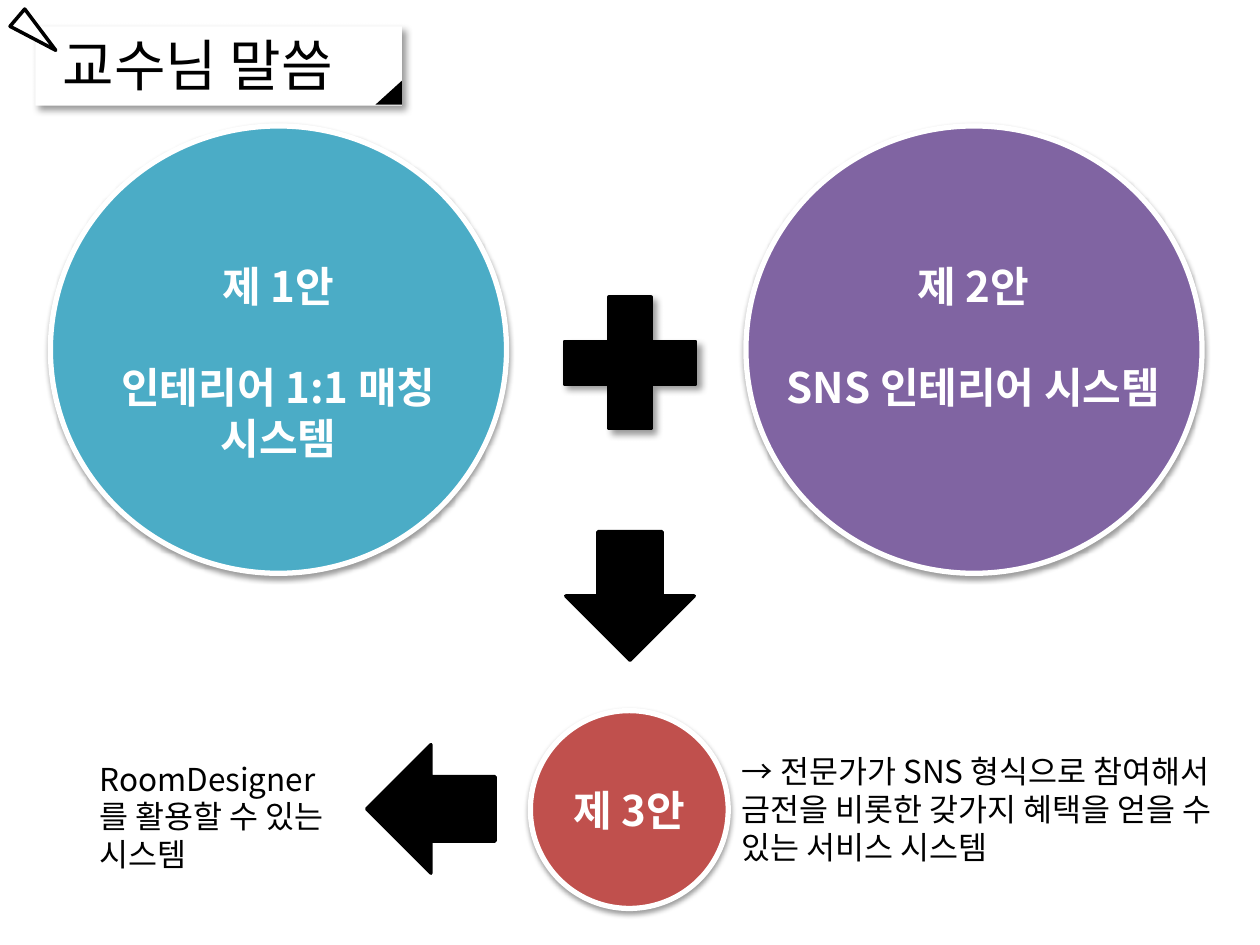
from dataclasses import dataclass
from typing import Optional

from lxml.etree import SubElement
from pptx import Presentation
from pptx.dml.color import RGBColor
from pptx.enum.shapes import MSO_SHAPE as Shape
from pptx.enum.text import MSO_ANCHOR as Anchor, PP_ALIGN as Align
from pptx.oxml.ns import qn
from pptx.util import Inches, Pt

FONT = "Noto Sans CJK KR"
BLACK = RGBColor(0x00, 0x00, 0x00)
WHITE = RGBColor(0xFF, 0xFF, 0xFF)
TEAL = RGBColor(0x4B, 0xAC, 0xC6)
PURPLE = RGBColor(0x80, 0x64, 0xA2)
RED = RGBColor(0xC0, 0x50, 0x4D)


@dataclass(frozen=True)
class Shadow:
    opacity: int
    blur: float
    distance: float
    angle: int


@dataclass(frozen=True)
class Figure:
    kind: Shape
    box: tuple[float, float, float, float]
    fill: RGBColor
    line: Optional[RGBColor] = None
    line_width: float = 2
    rotation: float = 0
    adjustment: Optional[float] = None
    shadow: Optional[Shadow] = None
    text: str = ""


@dataclass(frozen=True)
class Label:
    box: tuple[float, float, float, float]
    lines: tuple[str, ...]
    size: float = 18
    color: RGBColor = BLACK
    bold: bool = False
    align: Align = Align.LEFT
    heading_gap: float = 0


CARD_SHADOW = Shadow(40, 4, 3, 45)
CIRCLE_SHADOW = Shadow(38, 3.1, 1.6, 90)


def circle(box: tuple[float, float, float, float], fill: RGBColor, text: str = "") -> Figure:
    """Describe a white-rimmed circle."""
    return Figure(Shape.OVAL, box, fill, WHITE, 3, shadow=CIRCLE_SHADOW, text=text)


def proposal(box: tuple[float, float, float, float], *lines: str) -> Label:
    """Describe the centred caption of a proposal."""
    return Label(box, lines, 24, WHITE, True, Align.CENTER, 29)


FIGURES_BEHIND = (
    Figure(Shape.RECTANGLE, (0.28, 0.21, 2.91, 0.63), WHITE, shadow=CARD_SHADOW),
    Figure(Shape.ISOSCELES_TRIANGLE, (0.2, 0.07, 0.18, 0.4), WHITE, BLACK, rotation=130.4),
    Figure(Shape.ISOSCELES_TRIANGLE, (2.98, 0.64, 0.21, 0.19), BLACK, adjustment=1),
    circle((0.4, 1, 3.62, 3.55), TEAL),
    circle((5.92, 1, 3.62, 3.55), PURPLE),
    Figure(Shape.MATH_PLUS, (4.29, 2.17, 1.42, 1.42), BLACK, BLACK, shadow=CARD_SHADOW),
    Figure(Shape.DOWN_ARROW, (4.49, 4.22, 1.02, 1.02), BLACK, BLACK),
    circle((4.21, 5.64, 1.57, 1.57), RED, "제 3안"),
    Figure(Shape.DOWN_ARROW, (2.91, 5.91, 1.02, 1.02), BLACK, BLACK, rotation=90),
)
LABELS = (
    Label((0.4, 0.19, 2.66, 0.64), ("교수님 말씀",), 32),
    proposal((0.36, 2.02, 3.7, 1.72), "제 1안", "인테리어 1:1 매칭", "시스템"),
    proposal((6.09, 2.02, 3.27, 1.31), "제 2안", "SNS 인테리어 시스템"),
    Label((5.79, 5.92, 4.38, 1.01),
          ("→ 전문가가 SNS 형식으로 참여해서 금전을 비롯한 갖가지 혜택을 얻을 수 있는 서비스 시스템",)),
    Label((0.69, 5.98, 2.09, 1.01), ("RoomDesigner를 활용할 수 있는 시스템",)),
)


def format_paragraph(paragraph, size: float, color: RGBColor, bold: bool, align: Align) -> None:
    """Set the alignment and the font of every run."""
    paragraph.alignment = align
    for run in paragraph.runs:
        run.font.size = Pt(size)
        run.font.bold = bold
        run.font.color.rgb = color
        run.font.name = FONT
        SubElement(run.font._element, qn("a:ea"), typeface=FONT)


def add_shadow(shape, shadow: Shadow) -> None:
    """Give a shape a black outer shadow."""
    effects = shape._element.spPr.find(qn("a:effectLst"))
    outer = SubElement(effects, qn("a:outerShdw"), blurRad=str(Pt(shadow.blur)),
                       dist=str(Pt(shadow.distance)), dir=str(shadow.angle * 60000),
                       rotWithShape="0")
    color = SubElement(outer, qn("a:srgbClr"), val=str(BLACK))
    SubElement(color, qn("a:alpha"), val=str(shadow.opacity * 1000))


def draw_figure(slide, figure: Figure) -> None:
    """Draw a filled preset shape."""
    shape = slide.shapes.add_shape(figure.kind, *map(Inches, figure.box))
    shape.rotation = figure.rotation
    if figure.adjustment is not None:
        shape.adjustments[0] = figure.adjustment
    shape.fill.solid()
    shape.fill.fore_color.rgb = figure.fill
    if figure.line is None:
        shape.line.fill.background()
    else:
        shape.line.color.rgb = figure.line
        shape.line.width = Pt(figure.line_width)
    shape.shadow.inherit = False
    if figure.shadow:
        add_shadow(shape, figure.shadow)
    if figure.text:
        shape.text_frame.text = figure.text
        shape.text_frame.word_wrap = True
        shape.text_frame.vertical_anchor = Anchor.MIDDLE
        format_paragraph(shape.text_frame.paragraphs[0], 24, WHITE, True, Align.CENTER)


def draw_label(slide, label: Label) -> None:
    """Draw a wrapped text box."""
    text_frame = slide.shapes.add_textbox(*map(Inches, label.box)).text_frame
    text_frame.word_wrap = True
    text_frame.text = "\n".join(label.lines)
    for paragraph in text_frame.paragraphs:
        format_paragraph(paragraph, label.size, label.color, label.bold, label.align)
    if label.heading_gap:
        text_frame.paragraphs[0].space_after = Pt(label.heading_gap)


def main() -> None:
    """Build and save the slide."""
    presentation = Presentation()
    presentation.slide_width = Inches(10)
    presentation.slide_height = Inches(7.5)
    slide = presentation.slides.add_slide(presentation.slide_layouts[6])
    for figure in FIGURES_BEHIND:
        draw_figure(slide, figure)
    for label in LABELS:
        draw_label(slide, label)
    presentation.save("out.pptx")


if __name__ == "__main__":
    main()
